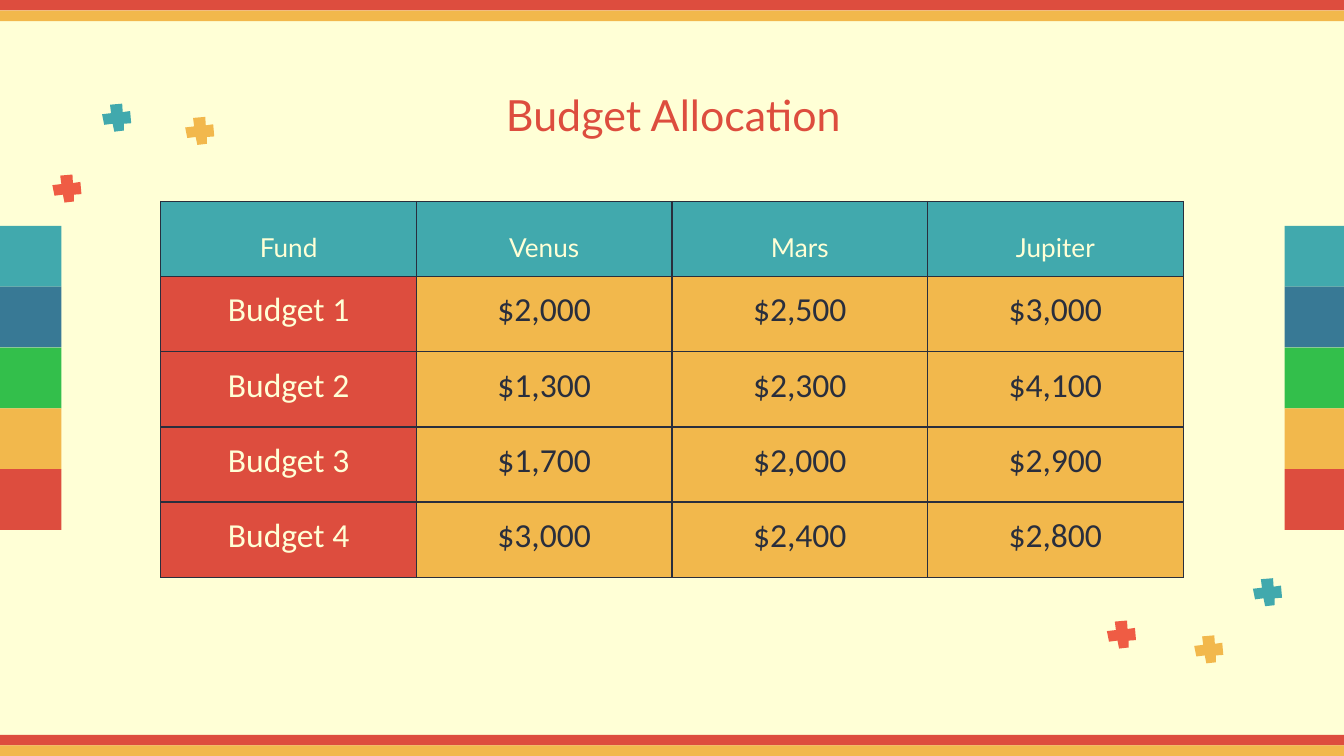
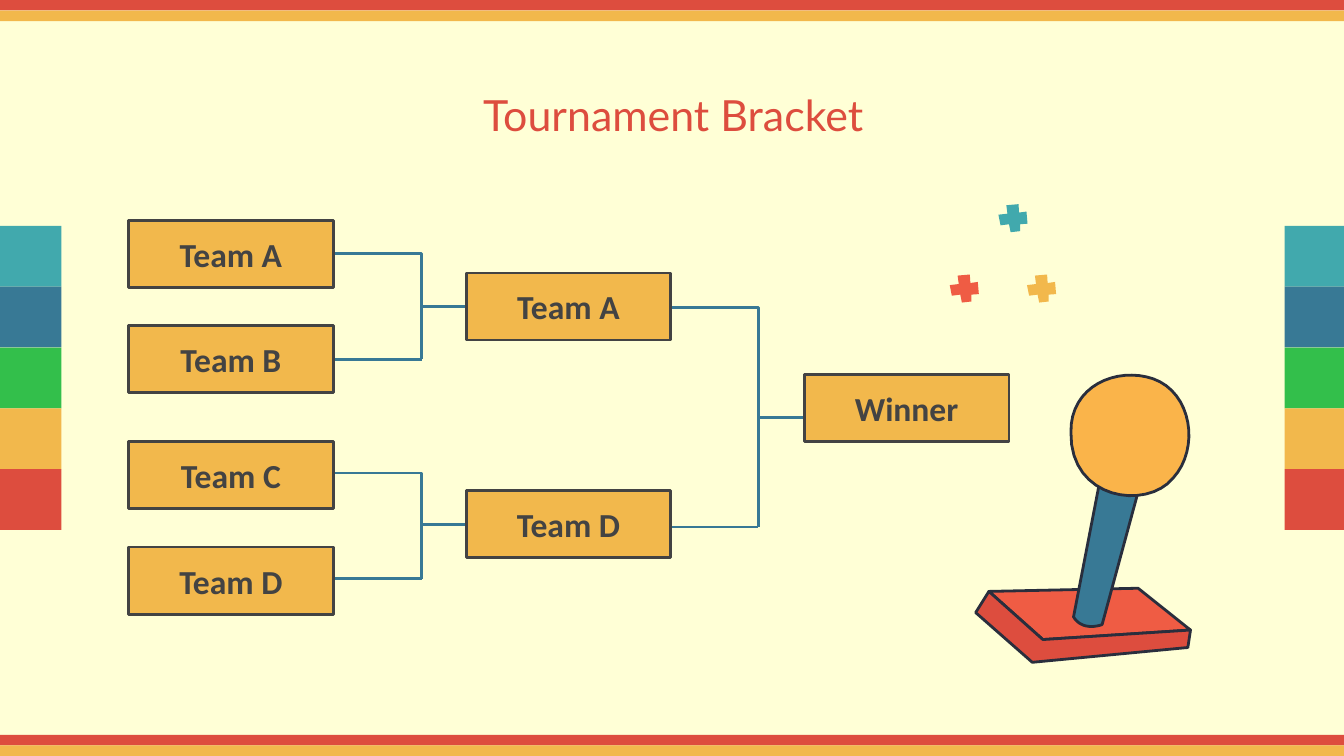
"""Build a budget table slide and a tournament bracket slide."""
import dataclasses

import lxml.etree
import pptx
import pptx.dml.color
import pptx.enum.shapes
import pptx.enum.text
import pptx.oxml.ns
import pptx.util
from pptx.util import Cm, Pt

qn = pptx.oxml.ns.qn
ANCHOR = pptx.enum.text.MSO_ANCHOR
RECTANGLE = pptx.enum.shapes.MSO_SHAPE.RECTANGLE
CONNECTOR = pptx.enum.shapes.MSO_CONNECTOR


@dataclasses.dataclass(frozen=True)
class Theme:
    cream: str = "FFFFD6"
    red: str = "DD4D3E"
    coral: str = "EF5C44"
    gold: str = "F2B84C"
    amber: str = "FAB44A"
    green: str = "33BF4B"
    blue: str = "387995"
    teal: str = "41A9AD"
    ink: str = "292E3D"
    gray: str = "434343"
    heading_font: str = "Lato"
    body_font: str = "Calibri"
    title_size: float = 23
    header_size: float = 14
    body_size: float = 18
    outline: float = 1.5
    border: float = 0.75


THEME = Theme()
WIDTH, HEIGHT = 25.4, 14.29

BAND_HEIGHT = 0.2
BAND_TOPS = [0, 13.89]
BAND_COLORS = [THEME.red, THEME.gold]
STRIPE_LEFTS = [0, 24.28]
STRIPE_TOP, STRIPE_WIDTH, STRIPE_HEIGHT = 4.27, 1.16, 1.15
STRIPE_COLORS = [THEME.teal, THEME.blue, THEME.green, THEME.gold, THEME.red]
TITLE_BOX = (2, 1.42, 21.46, 1.6)

BUDGET = [
    ["Fund", "Venus", "Mars", "Jupiter"],
    ["Budget 1", "$2,000", "$2,500", "$3,000"],
    ["Budget 2", "$1,300", "$2,300", "$4,100"],
    ["Budget 3", "$1,700", "$2,000", "$2,900"],
    ["Budget 4", "$3,000", "$2,400", "$2,800"],
]
TABLE_LEFT, TABLE_TOP, COLUMN_WIDTH, ROW_HEIGHT = 3.04, 3.81, 4.83, 1.42

BOX_WIDTH, BOX_HEIGHT = 3.87, 1.27
ROUNDS = [
    (2.43, [("Team A", 4.17), ("Team B", 6.15), ("Team C", 8.35), ("Team D", 10.34)]),
    (8.81, [("Team A", 5.16), ("Team D", 9.27)]),
    (15.2, [("Winner", 7.08)]),
]
JOINS = [
    {"left": 6.3, "joint": 7.97, "right": 8.81, "upper": 4.8, "lower": 6.79, "out": 5.79},
    {"left": 6.3, "joint": 7.97, "right": 8.81, "upper": 8.94, "lower": 10.94, "out": 9.91},
    {"left": 12.67, "joint": 14.33, "right": 15.2, "upper": 5.81, "lower": 9.96, "out": 7.89},
]

PLUS = [
    (0.41, 0.38), (0.41, 0.51), (0.23, 0.53), (0.2, 0.38), (0.04, 0.4), (0, 0.2),
    (0.17, 0.18), (0.15, 0.02), (0.38, 0), (0.39, 0.16), (0.53, 0.14), (0.55, 0.37),
]
PLUS_COLORS = [THEME.coral, THEME.teal, THEME.gold]
BUDGET_PLUSES = [
    [(0.99, 3.3), (1.93, 1.96), (3.5, 2.21)],
    [(20.92, 11.73), (23.68, 10.93), (22.57, 12.01)],
]
BRACKET_PLUSES = [[(17.95, 5.19), (18.87, 3.86), (19.41, 5.19)]]

JOYSTICK = [
    (THEME.coral, [(18.69, 11.18), (21.51, 11.12), (22.5, 11.91), (19.71, 12.09)]),
    (THEME.blue, [
        (20.9, 8.51), (20.29, 11.66),
        ((20.29, 11.66), (20.42, 11.94), (20.83, 11.81)), (21.67, 8.71),
    ]),
    (THEME.amber, [
        (20.24, 8.18),
        ((20.22, 9.45), (21.67, 9.65), (22.17, 9.04)),
        ((22.68, 8.48), (22.53, 7.42), (21.79, 7.16)),
        ((21.11, 6.93), (20.22, 7.29), (20.24, 8.18)),
    ]),
    (THEME.red, [
        (18.69, 11.18), (18.44, 11.58), (19.51, 12.52),
        (22.45, 12.24), (22.5, 11.91), (19.71, 12.09),
    ]),
]
CURVE_STEPS = 16


def rgb(color):
    return pptx.dml.color.RGBColor.from_string(color)


def paint(shape, fill, line=None):
    shape.shadow.inherit = False
    shape.fill.solid()
    shape.fill.fore_color.rgb = rgb(fill)
    if line:
        shape.line.color.rgb = rgb(line)
        shape.line.width = Pt(THEME.outline)
    else:
        shape.line.fill.background()


def add_rectangle(slide, box, fill, line=None):
    shape = slide.shapes.add_shape(RECTANGLE, *map(Cm, box))
    paint(shape, fill, line)
    return shape


def write(frame, text, font, size, color, bold=False):
    frame.text = text
    paragraph = frame.paragraphs[0]
    paragraph.alignment = pptx.enum.text.PP_ALIGN.CENTER
    paragraph.font.name = font
    paragraph.font.size = Pt(size)
    paragraph.font.bold = bold
    paragraph.font.color.rgb = rgb(color)


def set_margins(target):
    target.margin_left = target.margin_right = Cm(0.25)
    target.margin_top = target.margin_bottom = Cm(0.25)


def flatten(outline):
    points = []
    for step in outline:
        if len(step) == 2:
            points.append(step)
            continue
        controls = (points[-1], *step)
        for index in range(1, CURVE_STEPS + 1):
            t = index / CURVE_STEPS
            weights = ((1 - t) ** 3, 3 * t * (1 - t) ** 2, 3 * t * t * (1 - t), t ** 3)
            points.append(tuple(
                sum(weight * point[axis] for weight, point in zip(weights, controls))
                for axis in (0, 1)
            ))
    return points


def add_outline(slide, outline, fill, line=None):
    points = [(Cm(x), Cm(y)) for x, y in flatten(outline)]
    builder = slide.shapes.build_freeform(*points[0])
    builder.add_line_segments(points[1:], close=True)
    paint(builder.convert_to_shape(), fill, line)


def add_pluses(slide, clusters):
    for cluster in clusters:
        for (left, top), color in zip(cluster, PLUS_COLORS):
            add_outline(slide, [(left + x, top + y) for x, y in PLUS], color)


def add_base_slide(presentation, title):
    slide = presentation.slides.add_slide(presentation.slide_layouts[6])
    slide.background.fill.solid()
    slide.background.fill.fore_color.rgb = rgb(THEME.cream)
    for top in BAND_TOPS:
        for index, color in enumerate(BAND_COLORS):
            add_rectangle(slide, (0, top + index * BAND_HEIGHT, WIDTH, BAND_HEIGHT), color)
    for left in STRIPE_LEFTS:
        for index, color in enumerate(STRIPE_COLORS):
            top = STRIPE_TOP + index * STRIPE_HEIGHT
            add_rectangle(slide, (left, top, STRIPE_WIDTH, STRIPE_HEIGHT), color)
    frame = slide.shapes.add_textbox(*map(Cm, TITLE_BOX)).text_frame
    frame.word_wrap = True
    set_margins(frame)
    write(frame, title, THEME.heading_font, THEME.title_size, THEME.red)
    return slide


def add_borders(cell):
    properties = cell._tc.get_or_add_tcPr()
    for side in ("a:lnL", "a:lnR", "a:lnT", "a:lnB"):
        line = lxml.etree.SubElement(properties, qn(side), w=str(Pt(THEME.border)))
        fill = lxml.etree.SubElement(line, qn("a:solidFill"))
        lxml.etree.SubElement(fill, qn("a:srgbClr"), val=THEME.ink)


def add_budget_table(slide):
    rows, columns = len(BUDGET), len(BUDGET[0])
    box = (TABLE_LEFT, TABLE_TOP, columns * COLUMN_WIDTH, rows * ROW_HEIGHT)
    table = slide.shapes.add_table(rows, columns, *map(Cm, box)).table
    for column in table.columns:
        column.width = Cm(COLUMN_WIDTH)
    for row_index, values in enumerate(BUDGET):
        table.rows[row_index].height = Cm(ROW_HEIGHT)
        for column_index, value in enumerate(values):
            cell = table.cell(row_index, column_index)
            font, size = THEME.body_font, THEME.body_size
            fill, color = THEME.gold, THEME.ink
            if row_index == 0:
                font, size = THEME.heading_font, THEME.header_size
                fill, color = THEME.teal, THEME.cream
                cell.vertical_anchor = ANCHOR.BOTTOM
            elif column_index == 0:
                fill, color = THEME.red, THEME.cream
            set_margins(cell)
            write(cell.text_frame, value, font, size, color)
            add_borders(cell)
            cell.fill.solid()
            cell.fill.fore_color.rgb = rgb(fill)


def add_line(slide, start, end, bent=False):
    kind = CONNECTOR.ELBOW if bent else CONNECTOR.STRAIGHT
    connector = slide.shapes.add_connector(kind, *map(Cm, (*start, *end)))
    connector.line.color.rgb = rgb(THEME.blue)
    connector.line.width = Pt(THEME.outline)
    properties = connector._element.spPr
    lxml.etree.SubElement(properties, qn("a:effectLst"))
    if bent:
        properties.find(qn("a:prstGeom")).set("prst", "bentConnector2")


def add_bracket(slide):
    for join in JOINS:
        left, joint, lower, out = (join[key] for key in ("left", "joint", "lower", "out"))
        add_line(slide, (left, join["upper"]), (joint, lower), bent=True)
        add_line(slide, (left, lower), (joint, lower))
        add_line(slide, (join["right"], out), (joint, out))
    for left, teams in ROUNDS:
        for name, top in teams:
            box = (left, top, BOX_WIDTH, BOX_HEIGHT)
            frame = add_rectangle(slide, box, THEME.gold, THEME.gray).text_frame
            frame.vertical_anchor = ANCHOR.MIDDLE
            set_margins(frame)
            write(frame, name, THEME.body_font, THEME.body_size, THEME.gray, bold=True)


def main():
    presentation = pptx.Presentation()
    presentation.slide_width, presentation.slide_height = Cm(WIDTH), Cm(HEIGHT)

    budget_slide = add_base_slide(presentation, "Budget Allocation")
    add_budget_table(budget_slide)
    add_pluses(budget_slide, BUDGET_PLUSES)

    bracket_slide = add_base_slide(presentation, "Tournament Bracket")
    add_bracket(bracket_slide)
    for fill, outline in JOYSTICK:
        add_outline(bracket_slide, outline, fill, THEME.ink)
    add_pluses(bracket_slide, BRACKET_PLUSES)

    presentation.save("out.pptx")


if __name__ == "__main__":
    main()
